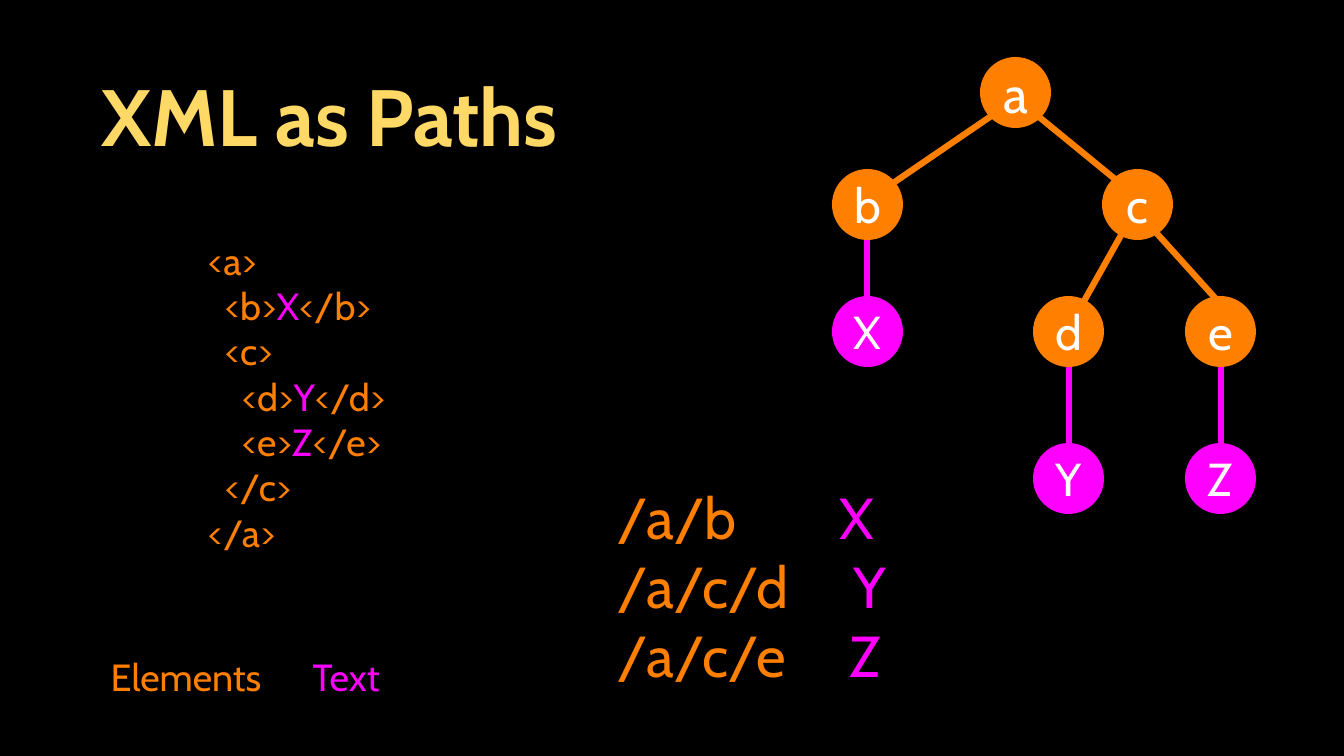
from pptx import Presentation
from pptx.dml.color import RGBColor
from pptx.enum.shapes import MSO_CONNECTOR, MSO_SHAPE
from pptx.enum.text import MSO_ANCHOR, MSO_AUTO_SIZE, PP_ALIGN
from pptx.oxml.ns import qn
from pptx.util import Pt
from lxml.etree import SubElement

# Content: a run is (text, colour name)
TITLE = "XML as Paths"
CODE = [
    [("<a>", "elem")],
    [("  <b>", "elem"), ("X", "text"), ("</b>", "elem")],
    [("  <c>", "elem")],
    [("    <d>", "elem"), ("Y", "text"), ("</d>", "elem")],
    [("    <e>", "elem"), ("Z", "text"), ("</e>", "elem")],
    [("  </c>", "elem")],
    [("</a>", "elem")],
]
# path, value, tab stop in px
PATHS = [("/a/b", "X", 222), ("/a/c/d", "Y", 236), ("/a/c/e", "Z", 232)]
LEGEND = [("Elements", "elem", (98, 650, 176, 52)),
          ("Text", "text", (308, 650, 76, 52))]
# name, kind, left, top, type size
NODES = [
    ("a", "elem", 980, 57, "root"),
    ("b", "elem", 832, 169, "node"),
    ("c", "elem", 1102, 169, "node"),
    ("X", "text", 832, 296, "leaf"),
    ("d", "elem", 1033, 296, "node"),
    ("e", "elem", 1185, 296, "node"),
    ("Y", "text", 1033, 443, "leaf"),
    ("Z", "text", 1185, 443, "leaf"),
]
# kind, start x and y, end x and y
EDGES = [
    ("text", 867, 228, 867, 313),
    ("text", 1069, 361, 1069, 446),
    ("text", 1221, 361, 1221, 446),
    ("elem", 1003, 108, 883, 190),
    ("elem", 1033, 112, 1121, 184),
    ("elem", 1124, 230, 1079, 310),
    ("elem", 1152, 228, 1216, 299),
]

THEME = {
    "font": "Cabin",
    "color": {"back": "000000", "title": "FFD966", "elem": "FF7F00",
              "text": "FF00FF", "node": "FFFFFF"},
    "size": {"title": 76, "code": 36, "path": 55, "root": 49, "node": 46,
             "leaf": 44},
}
SIZE = 71  # node diameter
EDGE = 6   # line width in points


def px(n):
    return round(n * 914400 / 75.6)


def hue(name):
    return RGBColor.from_string(THEME["color"][name])


def write(shape, lines, size, align=PP_ALIGN.LEFT, bold=False, inset=0, tabs=()):
    """Fill a shape with lines of (text, colour) runs."""
    frame = shape.text_frame
    frame.word_wrap = True
    frame.auto_size = MSO_AUTO_SIZE.NONE
    frame.vertical_anchor = MSO_ANCHOR.MIDDLE
    frame.margin_left = frame.margin_right = px(inset)
    frame.margin_top = frame.margin_bottom = px(inset)
    for i, line in enumerate(lines):
        para = frame.paragraphs[0] if i == 0 else frame.add_paragraph()
        para.alignment = align
        if tabs:
            stops = SubElement(para._p.get_or_add_pPr(), qn("a:tabLst"))
            SubElement(stops, qn("a:tab"), pos=str(px(tabs[i])), algn="l")
        for text, color in line:
            run = para.add_run()
            run.text = text
            run.font.name = THEME["font"]
            run.font.size = Pt(THEME["size"][size])
            run.font.bold = bold
            run.font.color.rgb = hue(color)


def add_box(slide, box):
    return slide.shapes.add_textbox(*map(px, box))


def add_edge(slide, kind, *ends):
    line = slide.shapes.add_connector(MSO_CONNECTOR.STRAIGHT, *map(px, ends))
    line.line.color.rgb = hue(kind)
    line.line.width = Pt(EDGE)
    SubElement(line._element.spPr, qn("a:effectLst"))


def add_node(slide, name, kind, left, top, size):
    node = slide.shapes.add_shape(
        MSO_SHAPE.OVAL, px(left), px(top), px(SIZE), px(SIZE))
    node.shadow.inherit = False
    node.fill.solid()
    node.fill.fore_color.rgb = hue(kind)
    node.line.fill.background()
    write(node, [[(name, "node")]], size, align=PP_ALIGN.CENTER)


def main():
    deck = Presentation()
    deck.slide_width, deck.slide_height = px(1344), px(756)
    slide = deck.slides.add_slide(deck.slide_layouts[5])
    slide.background.fill.solid()
    slide.background.fill.fore_color.rgb = hue("back")

    # Title
    title = slide.shapes.title
    title.left, title.top, title.width, title.height = map(px, (95, 20, 469, 190))
    write(title, [[(TITLE, "title")]], "title", align=PP_ALIGN.CENTER,
          bold=True, inset=3)

    # XML code
    write(add_box(slide, (208, 236, 204, 320)), CODE, "code")

    # Tree: edges lie behind the nodes
    for edge in EDGES:
        add_edge(slide, *edge)
    for node in NODES:
        add_node(slide, *node)

    # Paths with their values
    rows = [[(path, "elem"), ("\t" + value, "text")] for path, value, _ in PATHS]
    write(add_box(slide, (618, 482, 361, 207)), rows, "path",
          tabs=[stop for *_, stop in PATHS])

    # Legend
    for label, kind, box in LEGEND:
        write(add_box(slide, box), [[(label, kind)]], "code",
              align=PP_ALIGN.CENTER)

    deck.save("out.pptx")


if __name__ == "__main__":
    main()
